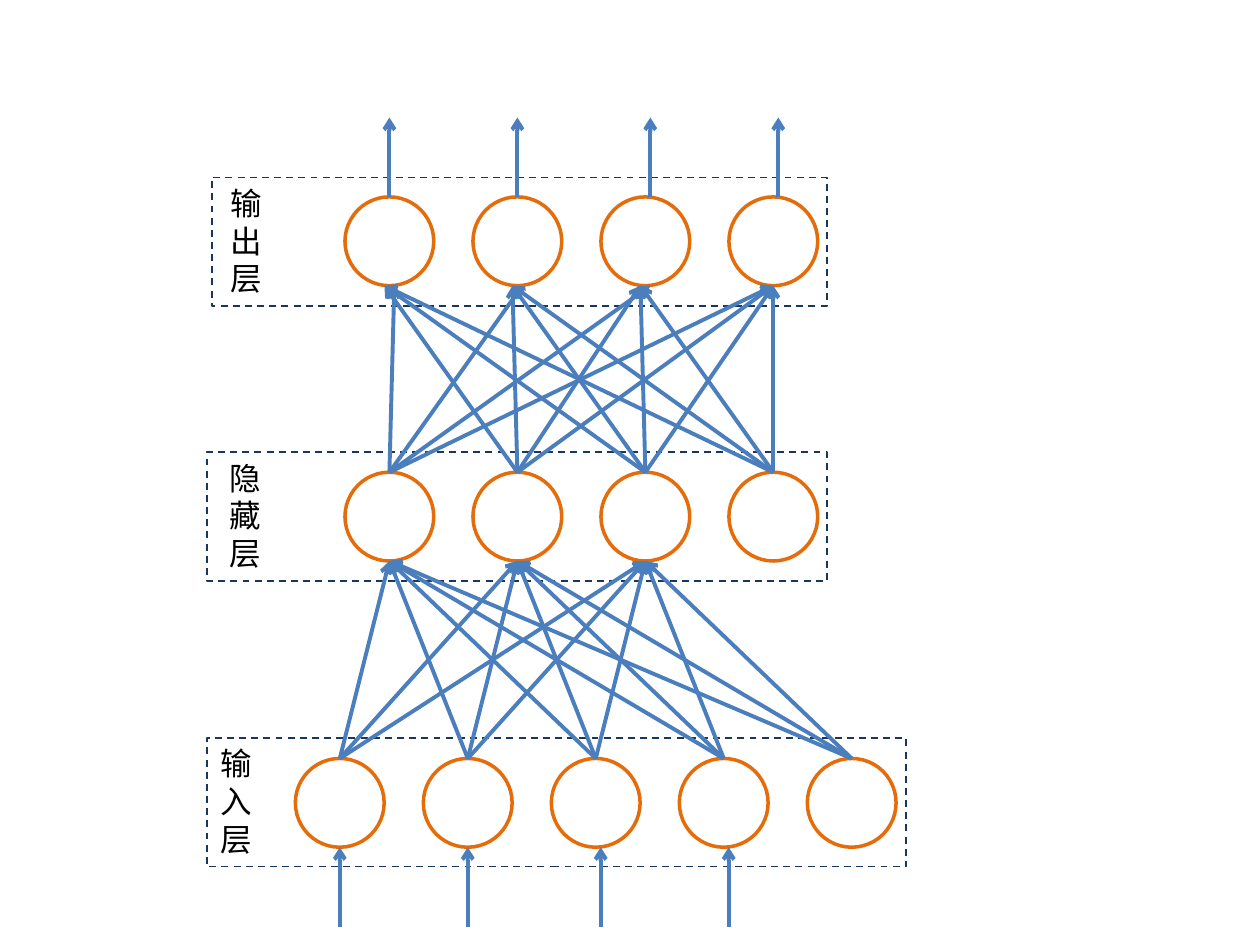
"""Draw a three-layer neural network with its connections."""
from itertools import product

from lxml.etree import SubElement
from pptx import Presentation
from pptx.dml.color import RGBColor
from pptx.enum.dml import MSO_LINE
from pptx.enum.shapes import MSO_CONNECTOR, MSO_SHAPE
from pptx.enum.text import MSO_AUTO_SIZE
from pptx.oxml.ns import qn
from pptx.util import Cm, Pt

COLORS = {"node": "E46C0A", "fill": "FFFFFF", "frame": "17375E", "arrow": "4B7EBC", "text": "000000"}
RGB = {name: RGBColor.from_string(value) for name, value in COLORS.items()}
DIAMETER, PITCH, ARROW = 1.79, 2.58, 1.6
FRAME_H = 2.59
SHIFTS = (0, 0, 0.1, 0.1)

prs = Presentation()
prs.slide_width, prs.slide_height = Cm(25.4), Cm(19.05)
s = prs.slides.add_slide(prs.slide_layouts[6])


def add_outline(kind, x, y, w, h, color, width):
    sp = s.shapes.add_shape(kind, Cm(x), Cm(y), Cm(w), Cm(h))
    sp.shadow.inherit = False
    sp.line.color.rgb = RGB[color]
    sp.line.width = Pt(width)
    return sp


def add_arrow(x1, y1, x2, y2):
    cn = s.shapes.add_connector(MSO_CONNECTOR.STRAIGHT, Cm(x1), Cm(y1), Cm(x2), Cm(y2))
    cn.line.color.rgb = RGB["arrow"]
    cn.line.width = Pt(2.25)
    SubElement(cn.line._get_or_add_ln(), qn("a:tailEnd"), type="arrow")
    SubElement(cn._element.spPr, qn("a:effectLst"))


layers = [
    ("输入层", 5, 6.85, 15.29, 4.17, 14.88, 14.1, 4.19),
    ("输出层", 4, 7.85, 3.97, 4.27, 3.58, 12.4, 4.39),
    ("隐藏层", 4, 7.85, 9.52, 4.17, 9.12, 12.5, 4.37),
]
centers, tops = {}, {}
for label, count, first, top, frame_x, frame_y, frame_w, label_x in layers:
    centers[label] = [first + i * PITCH for i in range(count)]
    tops[label] = top
    for x in centers[label]:
        sp = add_outline(MSO_SHAPE.OVAL, x - DIAMETER / 2, top, DIAMETER, DIAMETER, "node", 2)
        sp.fill.solid()
        sp.fill.fore_color.rgb = RGB["fill"]

    sp = add_outline(MSO_SHAPE.RECTANGLE, frame_x, frame_y, frame_w, FRAME_H, "frame", 1)
    sp.fill.background()
    sp.line.dash_style = MSO_LINE.DASH

    tf = s.shapes.add_textbox(Cm(label_x), Cm(frame_y), Cm(1.14), Cm(2.57)).text_frame
    tf.word_wrap = False
    tf.auto_size = MSO_AUTO_SIZE.SHAPE_TO_FIT_TEXT
    for i, char in enumerate(label):
        p = tf.add_paragraph() if i else tf.paragraphs[0]
        r = p.add_run()
        r.text = char
        r.font.name = "Calibri"
        r.font.size = Pt(18)
        r.font.color.rgb = RGB["text"]

inputs, outputs, hidden = centers["输入层"], centers["输出层"], centers["隐藏层"]
input_top, output_top, hidden_top = tops["输入层"], tops["输出层"], tops["隐藏层"]
input_bottom = input_top + DIAMETER

for x, shift in zip(inputs, SHIFTS):
    add_arrow(x + shift, input_bottom + ARROW, x + shift, input_bottom)
for x, shift in zip(outputs, SHIFTS):
    add_arrow(x + shift, output_top, x + shift, output_top - ARROW)

for x1, x2 in product(inputs, hidden[:-1]):
    add_arrow(x1, input_top, x2, hidden_top + DIAMETER)

for x1, x2 in product(hidden, outputs):
    shift = 0 if x2 == outputs[-1] else 0.1 if x1 == hidden[0] else -0.1
    add_arrow(x1, hidden_top, x2 + shift, output_top + DIAMETER)

prs.save("out.pptx")
